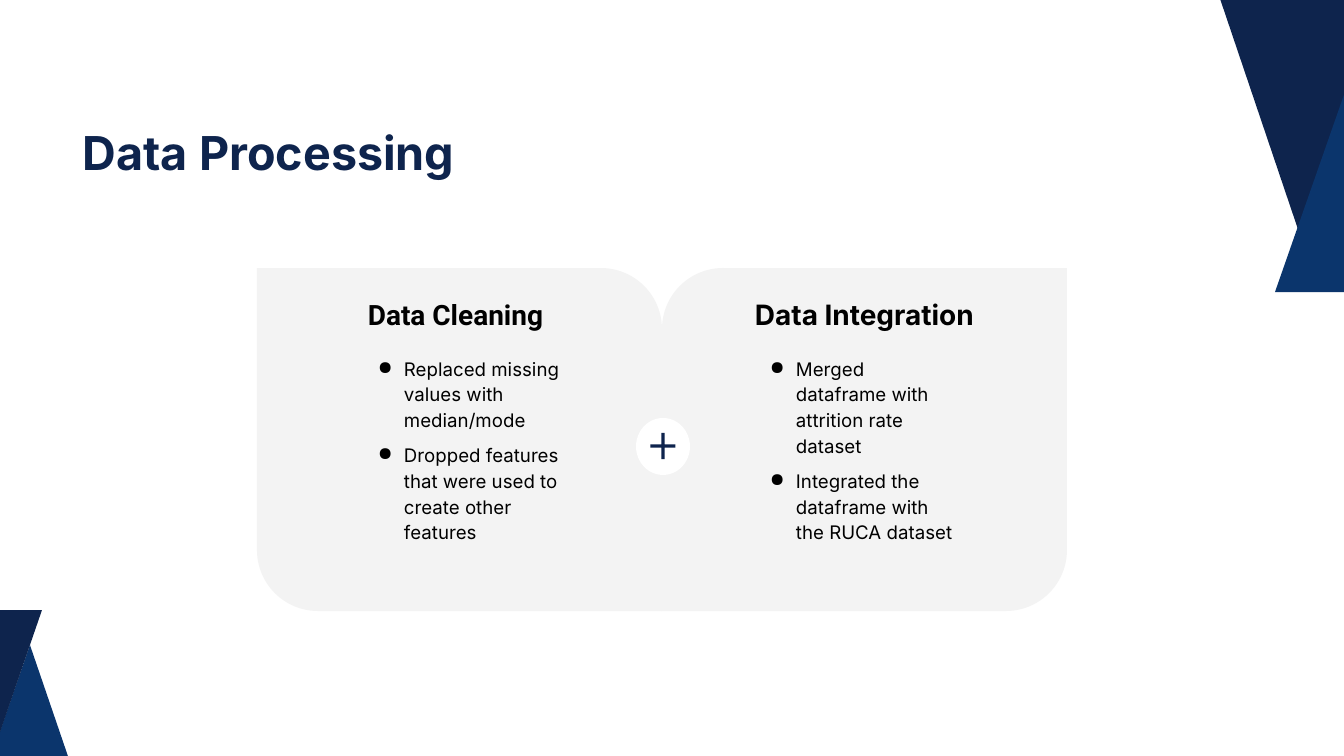
"""Build the Data Processing slide."""
from lxml import etree
from pptx import Presentation
from pptx.dml.color import RGBColor
from pptx.enum.shapes import MSO_SHAPE
from pptx.enum.text import MSO_ANCHOR, MSO_AUTO_SIZE, PP_ALIGN
from pptx.oxml.ns import qn
from pptx.util import Pt

PANEL = MSO_SHAPE.ROUND_2_DIAG_RECTANGLE
OVAL = MSO_SHAPE.OVAL
PLUS = MSO_SHAPE.MATH_PLUS
MIDDLE = MSO_ANCHOR.MIDDLE
GROW = MSO_AUTO_SIZE.SHAPE_TO_FIT_TEXT
LEFT, CENTER = PP_ALIGN.LEFT, PP_ALIGN.CENTER

SCALE = 914400 / 67.2
COLORS = {"navy": "0E244D", "blue": "0B356C", "gray": "F3F3F3",
          "white": "FFFFFF", "black": "000000"}

TITLE = "Data Processing"
CARDS = [
    {"head": "Data Cleaning", "font": "Roboto", "x": 257, "bends": (0, 0.178),
     "head_x": 304, "list_x": 357,
     "items": ["Replaced missing values with median/mode",
               "Dropped features that were used to create other features"]},
    {"head": "Data Integration", "font": "Inter", "x": 662, "bends": (0.178, 0),
     "head_x": 713, "list_x": 749,
     "items": ["Merged dataframe with attrition rate dataset",
               "Integrated the dataframe with the RUCA dataset"]},
]
WEDGES = [
    ("blue", [(30, 645), (83, 800), (-24, 800)]),
    ("navy", [(0, 732), (-43, 610), (42, 610)]),
    ("navy", [(1302, 241), (1187, -99), (1416, -99)]),
    ("blue", [(1346, 89), (1416, 292), (1275, 292)]),
]
TOP, WIDE, HIGH = 268, 405, 343
PAD = 13


def px(n):
    return round(n * SCALE)


def rgb(name):
    return RGBColor.from_string(COLORS[name])


def paint(shape, color):
    shape.shadow.inherit = False
    shape.fill.solid()
    shape.fill.fore_color.rgb = rgb(color)
    shape.line.fill.background()


def add_wedge(slide, color, points):
    pen = slide.shapes.build_freeform(*points[0], scale=SCALE)
    pen.add_line_segments(points[1:], close=True)
    paint(pen.convert_to_shape(), color)


def add_form(slide, kind, box, color, bends=()):
    shape = slide.shapes.add_shape(kind, *map(px, box))
    for i, bend in enumerate(bends):
        shape.adjustments[i] = bend
    paint(shape, color)


def add_bullet(para):
    props = para._p.get_or_add_pPr()
    props.set("marL", str(px(34)))
    props.set("indent", str(px(-26)))
    tint = etree.SubElement(props, qn("a:buClr"))
    etree.SubElement(tint, qn("a:srgbClr"), val=COLORS["black"])
    etree.SubElement(props, qn("a:buChar"), char="●")


def add_text(slide, box, lines, size, font="Inter", color="black", bold=False,
             align=LEFT, pad=PAD, space=1.0, bullet=False):
    frame = slide.shapes.add_textbox(*map(px, box)).text_frame
    frame.word_wrap = True
    frame.margin_left = frame.margin_right = px(pad)
    frame.margin_top = frame.margin_bottom = px(pad)
    frame.text = "\n".join(lines)
    for i, para in enumerate(frame.paragraphs):
        if bullet:
            add_bullet(para)
        para.alignment = align
        para.line_spacing = space
        if i:
            para.space_before = para.space_after = Pt(10)
        for run in para.runs:
            run.font.size = Pt(size)
            run.font.name = font
            run.font.bold = bold
            run.font.color.rgb = rgb(color)
    return frame


def add_card(slide, card):
    add_form(slide, PANEL, (card["x"], TOP, WIDE, HIGH), "gray", card["bends"])
    head = add_text(slide, (card["head_x"], TOP, 303, 93), [card["head"]], 30,
                    font=card["font"], bold=True, align=CENTER)
    head.vertical_anchor = MIDDLE
    add_text(slide, (card["list_x"], 341, 220, 202), card["items"], 20,
             space=1.15, bullet=True)


def main():
    deck = Presentation()
    deck.slide_width, deck.slide_height = px(1344), px(756)
    slide = deck.slides.add_slide(deck.slide_layouts[6])
    title = add_text(slide, (83, 118, 1088, 56), [TITLE], 50, color="navy",
                     bold=True, pad=0, space=1.1)
    title.auto_size = GROW
    for color, points in WEDGES:
        add_wedge(slide, color, points)
    for card in CARDS:
        add_card(slide, card)
    add_form(slide, OVAL, (636, 418, 54, 57), "white")
    add_form(slide, PLUS, (646, 428, 34, 36), "navy", (0.1,))
    deck.save("out.pptx")


if __name__ == "__main__":
    main()
